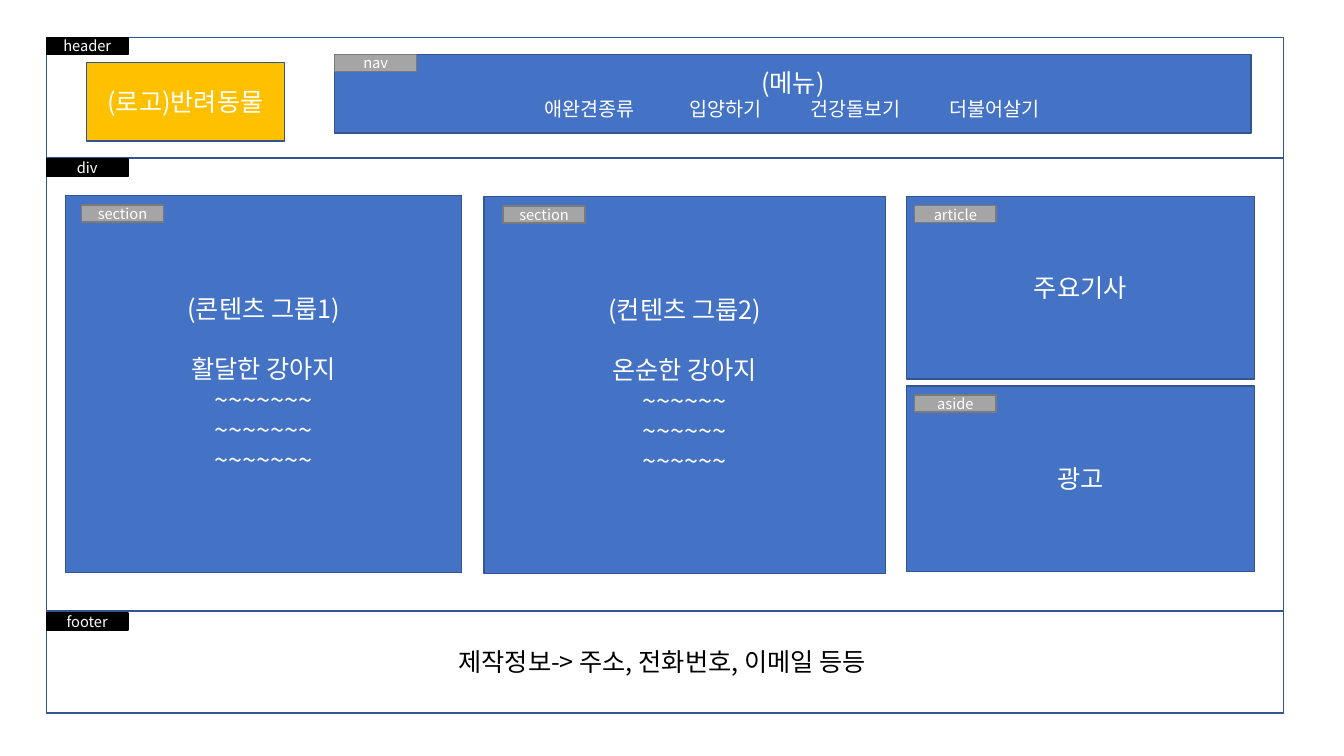
from collections import namedtuple

from lxml import etree
from pptx import Presentation, util as u
from pptx.dml.color import RGBColor
from pptx.enum import shapes, text
from pptx.oxml import ns

COLORS = {"white": "FFFFFF", "black": "000000", "blue": "4472C4", "navy": "325491",
          "gold": "FFC000", "gray": "A5A5A5", "dark gray": "7A7A7A"}
FONT = "Noto Sans CJK KR"
BODY, MENU, LABEL = 18, 14, 10.5
LINE_HEIGHT = 21.6


class Box(namedtuple("Box", "left top width height")):
    """A rectangle in inches."""

    def inner(self, left, top, width, height):
        """Return an inner box given in percent of this one."""
        return Box(self.left + self.width * left / 100, self.top + self.height * top / 100,
                   self.width * width / 100, self.height * height / 100)


SLIDE = Box(0, 0, 13.33, 7.5)


def color(name):
    """Look up a palette colour."""
    return RGBColor.from_string(COLORS[name])


def style(paragraph, size, ink):
    """Centre a paragraph and set its font for Latin and Korean."""
    paragraph.alignment = text.PP_ALIGN.CENTER
    font = paragraph.font
    font.name, font.size = FONT, u.Pt(size)
    font.color.rgb = color(ink)
    etree.SubElement(font._element, ns.qn("a:ea"), typeface=FONT)


def panel(slide, box, fill=None, lines=(), line="navy", size=BODY, ink="white"):
    """Draw an outlined rectangle with centred lines and return its text frame."""
    rect = slide.shapes.add_shape(shapes.MSO_SHAPE.RECTANGLE, *map(u.Inches, box))
    rect.shadow.inherit = False
    if fill:
        rect.fill.solid()
        rect.fill.fore_color.rgb = color(fill)
    else:
        rect.fill.background()
    rect.line.color.rgb = color(line)
    rect.line.width = u.Pt(1)
    frame = rect.text_frame
    frame.vertical_anchor = text.MSO_ANCHOR.MIDDLE
    if lines:
        frame.text = "\n".join(lines)
        for paragraph in frame.paragraphs:
            style(paragraph, size, ink)
    return frame


def tag(slide, box, name, right=0, down=0, fill="black", line="black"):
    """Label a box near its corner, shifted by percent of the slide."""
    shift = SLIDE.inner(right, down, 6.08, 2.27)
    place = shift._replace(left=box.left + shift.left, top=box.top + shift.top)
    panel(slide, place, fill, [name], line, LABEL)


def gray_tag(slide, box, name, right=0, down=0):
    """Label an inner element in gray."""
    tag(slide, box, name, right, down, "gray", "dark gray")


def menu(slide, box):
    """Draw the nav bar with its items on centred tab stops."""
    items = ["애완견종류", "입양하기", "건강돌보기", "더불어살기"]
    centers = [26.73, 41.58, 55.78, 70.96]
    frame = panel(slide, box, "blue", ["(메뉴)", "".join("\t" + item for item in items)])
    row = frame.paragraphs[1]
    row.alignment = text.PP_ALIGN.LEFT
    row.font.size = u.Pt(MENU)
    stops = etree.Element(ns.qn("a:tabLst"))
    for center in centers:
        position = u.Inches(box.width * center / 100)
        etree.SubElement(stops, ns.qn("a:tab"), pos=str(int(position)), algn="ctr")
    row.font._element.addprevious(stops)
    gray_tag(slide, box, "nav")


def header(slide, box):
    """Draw the header with logo and menu."""
    panel(slide, box, "white")
    panel(slide, box.inner(3.26, 20.83, 15.97, 65), "gold", ["(로고)반려동물"])
    menu(slide, box.inner(23.31, 14.17, 74.08, 65))
    tag(slide, box, "header")


def section(slide, box, title, topic, tildes, tag_right):
    """Draw a content group with its topic and placeholder lines."""
    frame = panel(slide, box, "blue", [title, topic] + ["~" * tildes] * 3)
    frame.paragraphs[1].space_before = u.Pt(LINE_HEIGHT)
    gray_tag(slide, box, "section", tag_right, 1.25)


def content(slide, box):
    """Draw the div with two sections, the article and the aside."""
    section(slide, box.inner(1.55, 8.04, 32.03, 83.48), "(콘텐츠 그룹1)", "활달한 강아지", 7, 1.2)
    section(slide, box.inner(35.37, 8.26, 32.44, 83.48), "(컨텐츠 그룹2)", "온순한 강아지", 6, 1.43)
    for name, title, top, height in [("article", "주요기사", 8.26, 40.4),
                                     ("aside", "광고", 50.22, 41.07)]:
        side = box.inner(69.52, top, 28.12, height)
        panel(slide, side, "blue", [title])
        gray_tag(slide, side, name, 0.6, 1.2)
    tag(slide, box, "div")


def footer(slide, box):
    """Draw the footer with the site details."""
    panel(slide, box, "white", ["제작정보-> 주소, 전화번호, 이메일 등등 "], ink="black")
    tag(slide, box, "footer", down=0.27)


def page_layout(slide, box):
    """Stack header, content and footer in the page outline."""
    panel(slide, box)
    header(slide, box.inner(0, 0, 100, 17.88))
    content(slide, box.inner(0, 18.03, 100, 66.77))
    footer(slide, box.inner(0, 84.8, 100, 15.05))


deck = Presentation()
deck.slide_width, deck.slide_height = u.Inches(SLIDE.width), u.Inches(SLIDE.height)
page_layout(deck.slides.add_slide(deck.slide_layouts[6]), SLIDE.inner(3.45, 4.93, 92.05, 89.47))
deck.save("out.pptx")
